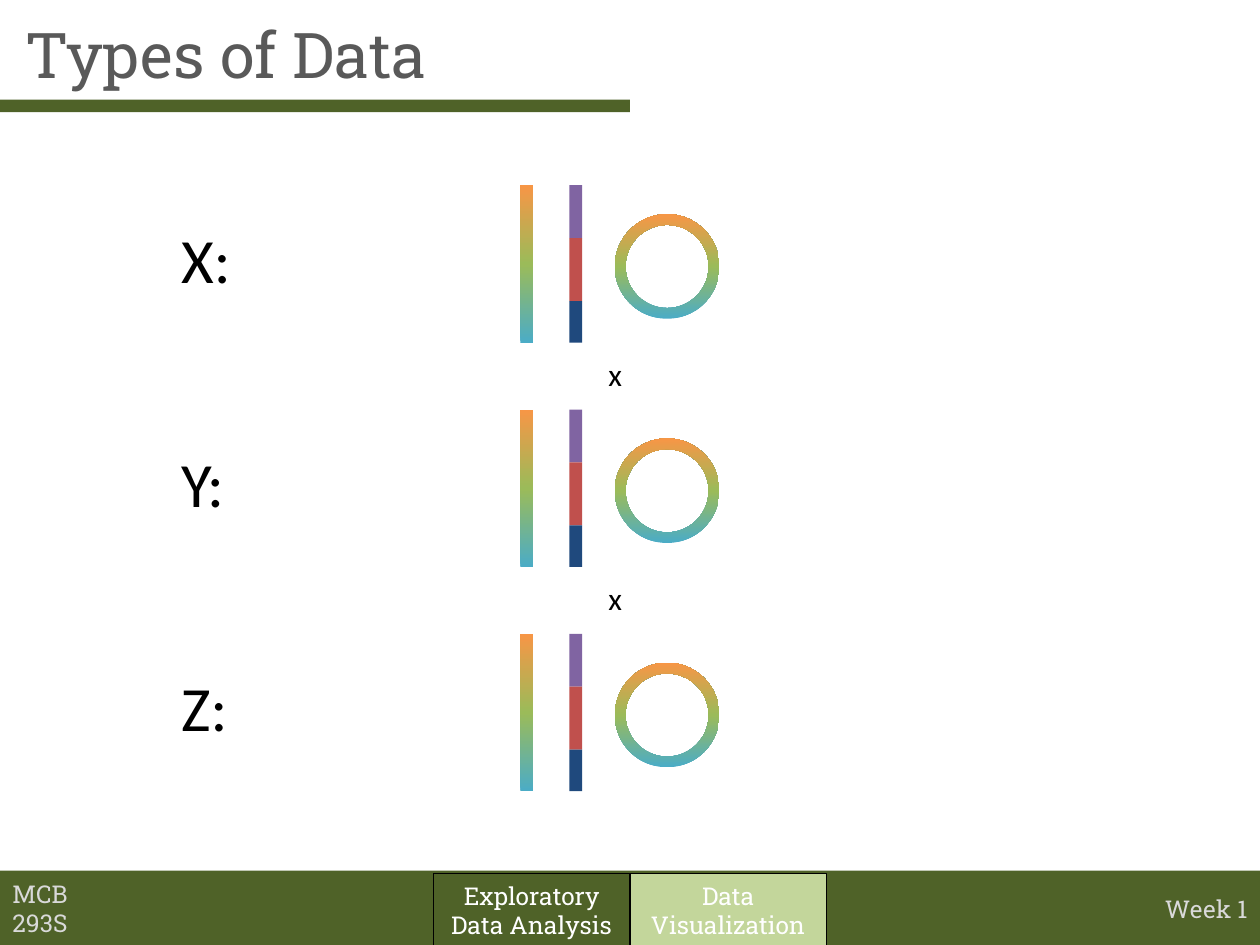
from copy import deepcopy

from pptx import Presentation
from pptx.dml.color import RGBColor
from pptx.enum.dml import MSO_THEME_COLOR
from pptx.enum.shapes import MSO_SHAPE as Shape
from pptx.enum.text import MSO_ANCHOR as Anchor, MSO_AUTO_SIZE as AutoSize, PP_ALIGN as Align
from pptx.util import Inches, Pt

GREEN = RGBColor(0x4F, 0x62, 0x28)
PALE_GREEN = RGBColor(0xC3, 0xD6, 0x9B)
TITLE_GRAY = RGBColor(0x59, 0x59, 0x59)
LIGHT_GRAY = RGBColor(0xD9, 0xD9, 0xD9)
BLACK = RGBColor(0, 0, 0)
WHITE = RGBColor(0xFF, 0xFF, 0xFF)
ORANGE = RGBColor(0xF7, 0x96, 0x46)
LIME = RGBColor(0x9B, 0xBB, 0x59)
AQUA = RGBColor(0x4B, 0xAC, 0xC6)
PURPLE = RGBColor(0x80, 0x64, 0xA2)
RED = RGBColor(0xC0, 0x50, 0x4D)
NAVY = RGBColor(0x1F, 0x49, 0x7D)

WIDTH, HEIGHT = 10, 7.5
SLAB, SANS = "Roboto Slab", "Calibri"
ROW_TOP, ROW_PITCH, ROW_HEIGHT = 1.47, 1.78, 1.25
LABEL_LEFT, SYMBOLS_LEFT = 1.34, 4.13
BAR_WIDTH, RING_SIZE = 0.1, 0.83
SEGMENTS = [(PURPLE, 0.42), (RED, 0.5), (NAVY, 0.33)]


def box_inches(*lengths):
    return [Inches(length) for length in lengths]


def write_text(shape, lines, font, align=Align.LEFT, **frame_format):
    frame = shape.text_frame
    for name, value in frame_format.items():
        setattr(frame, name, value)
    frame.text = "\n".join(lines)
    for paragraph in frame.paragraphs:
        paragraph.alignment = align
        for name, value in font.items():
            if name == "color":
                paragraph.font.color.rgb = value
            else:
                setattr(paragraph.font, name, value)


def add_text(slide, box, text, font, align=Align.LEFT, **frame_format):
    text_box = slide.shapes.add_textbox(*box_inches(*box))
    write_text(text_box, [text], font, align, **frame_format)


def add_block(shapes, kind, box, color=None, line=None):
    block = shapes.add_shape(kind, *box_inches(*box))
    block.shadow.inherit = False
    if color is not None:
        block.fill.solid()
        block.fill.fore_color.rgb = color
    if line is None:
        block.line.fill.background()
    else:
        block.line.color.rgb = line
        block.line.width = Pt(0.75)
    return block


def fill_spectrum(shape):
    """Blend aqua at the bottom through lime to orange at the top."""
    fill = shape.fill
    fill.gradient()
    fill.gradient_angle = 90
    first = fill.gradient_stops[0]
    first.color.theme_color = MSO_THEME_COLOR.ACCENT_1
    stop_list = shape._element.spPr.find(".//{*}gsLst")
    stop_list.insert(1, deepcopy(stop_list[0]))
    for stop, color, position in zip(fill.gradient_stops, (AQUA, LIME, ORANGE), (0, 0.5, 1)):
        stop.color.rgb = color
        stop.position = position


def add_header(slide):
    title = slide.shapes.title
    title.left, title.top, title.width, title.height = box_inches(0.1, 0, 9.79, 0.84)
    write_text(title, ["Types of Data"], dict(name=SLAB, size=Pt(36), color=TITLE_GRAY),
               vertical_anchor=Anchor.MIDDLE, auto_size=AutoSize.NONE)
    add_block(slide.shapes, Shape.RECTANGLE, (0, 0.79, WIDTH / 2, 0.1), GREEN)


def add_symbols(slide, left, top, height):
    """Continuous scale, categorical scale and cyclic scale, as one group."""
    shapes = slide.shapes.add_group_shape().shapes
    fill_spectrum(add_block(shapes, Shape.RECTANGLE, (left, top, BAR_WIDTH, height)))
    segment_top = top
    for color, segment_height in SEGMENTS:
        add_block(shapes, Shape.RECTANGLE,
                  (left + 0.39, segment_top, BAR_WIDTH, segment_height), color)
        segment_top += segment_height
    ring = add_block(shapes, Shape.DONUT, (left + 0.75, top + 0.23, RING_SIZE, RING_SIZE))
    ring.adjustments[0] = 0.102
    fill_spectrum(ring)


def add_variable_row(slide, name, top):
    add_text(slide, (LABEL_LEFT, top + 0.23, 0.6, 0.71), f"{name}:",
             dict(name=SANS, size=Pt(36), color=BLACK), word_wrap=False)
    add_symbols(slide, SYMBOLS_LEFT, top, ROW_HEIGHT)


def add_footer(slide, top, height):
    add_block(slide.shapes, Shape.RECTANGLE, (0, top, WIDTH, height), GREEN)
    font = dict(name=SLAB, size=Pt(14), color=LIGHT_GRAY)
    add_text(slide, (0, top + 0.13, 0.95, 0.34), "MCB 293S", font,
             word_wrap=True, vertical_anchor=Anchor.MIDDLE)
    add_text(slide, (WIDTH - 0.87, top + 0.13, 0.87, 0.34), "Week 1", font, Align.RIGHT,
             word_wrap=False, vertical_anchor=Anchor.MIDDLE)
    # Section tabs, side by side around the middle
    tab_width = 1.56
    tabs = [(["Exploratory", "Data Analysis"], GREEN), (["Data Visualization"], PALE_GREEN)]
    for column, (lines, color) in enumerate(tabs):
        left = WIDTH / 2 + (column - 1) * tab_width
        tab = add_block(slide.shapes, Shape.RECTANGLE,
                        (left, top + 0.02, tab_width, height), color, BLACK)
        write_text(tab, lines, dict(font, color=WHITE), Align.CENTER,
                   word_wrap=True, vertical_anchor=Anchor.MIDDLE)


def main():
    presentation = Presentation()
    presentation.slide_width, presentation.slide_height = box_inches(WIDTH, HEIGHT)
    slide = presentation.slides.add_slide(presentation.slide_layouts[5])
    add_header(slide)
    # One row per variable, with a multiplication sign between rows
    for row, name in enumerate("XYZ"):
        top = ROW_TOP + row * ROW_PITCH
        add_variable_row(slide, name, top)
        if row:
            add_text(slide, (4.73, top - 0.48, 0.31, 0.4), "x",
                     dict(name=SANS, size=Pt(18), color=BLACK), word_wrap=False)
    add_footer(slide, 6.91, 0.59)
    presentation.save("out.pptx")


if __name__ == "__main__":
    main()
